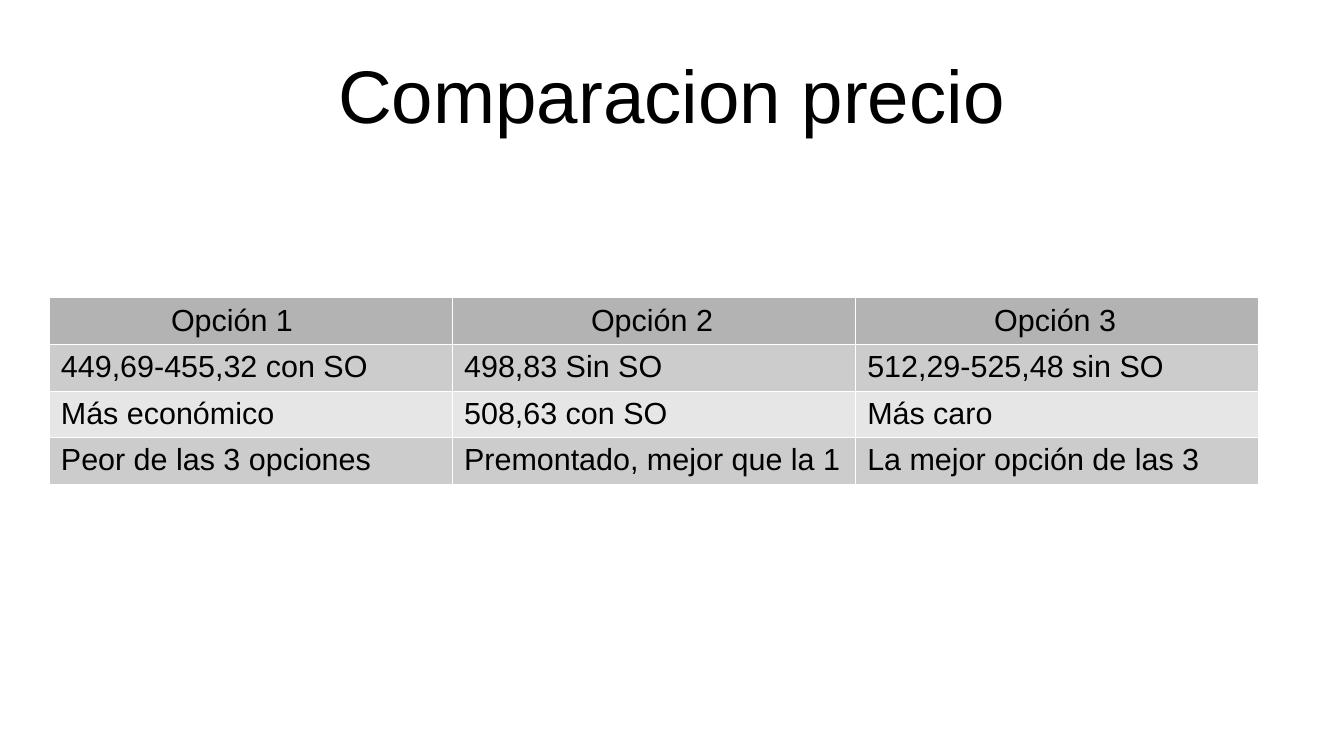
import pptx
import pptx.dml.color
import pptx.enum.text
import pptx.oxml
import pptx.oxml.ns
import pptx.util

Pt = pptx.util.Pt
RGBColor = pptx.dml.color.RGBColor

BLACK = RGBColor(0x00, 0x00, 0x00)
HEADER_GRAY = RGBColor(0xB3, 0xB3, 0xB3)
DARK_BAND = RGBColor(0xCC, 0xCC, 0xCC)
LIGHT_BAND = RGBColor(0xE6, 0xE6, 0xE6)
WHITE = RGBColor(0xFF, 0xFF, 0xFF)

FONT_NAME = "Arial"
COLUMN_WIDTH = Pt(238.1)
ROW_HEIGHT = Pt(27.5)
HEADER_INDENTS = [Pt(72.2), Pt(82.2), Pt(82.2)]
ROW_FILLS = [HEADER_GRAY, DARK_BAND, LIGHT_BAND, DARK_BAND]
PRICE_ROWS = [
    ["Opción 1", "Opción 2", "Opción 3"],
    ["449,69-455,32 con SO", "498,83 Sin SO", "512,29-525,48 sin SO"],
    ["Más económico", "508,63 con SO", "Más caro"],
    ["Peor de las 3 opciones", "Premontado, mejor que la 1", "La mejor opción de las 3"],
]


def format_text(paragraph, size):
    for run in paragraph.runs:
        run.font.name = FONT_NAME
        run.font.size = size
        run.font.color.rgb = BLACK


def add_cell_borders(cell):
    """Draw thin white lines; call before the fill is set, as borders precede it."""
    properties = cell._tc.get_or_add_tcPr()
    for side in ("lnL", "lnR", "lnT", "lnB"):
        properties.append(pptx.oxml.parse_xml(
            f'<a:{side} {pptx.oxml.ns.nsdecls("a")} w="{Pt(0.06)}">'
            f'<a:solidFill><a:srgbClr val="{WHITE}"/></a:solidFill></a:{side}>'
        ))


presentation = pptx.Presentation()
presentation.slide_width = Pt(793.7)
presentation.slide_height = Pt(446.4)
slide = presentation.slides.add_slide(presentation.slide_layouts[5])

title = slide.shapes.title
title.left, title.top, title.width, title.height = Pt(39.6), Pt(18), Pt(714.3), Pt(74.9)
title_frame = title.text_frame
title_frame.text = "Comparacion precio"
title_frame.margin_left = title_frame.margin_right = Pt(0)
title_frame.margin_top = title_frame.margin_bottom = Pt(0)
title_frame.vertical_anchor = pptx.enum.text.MSO_ANCHOR.MIDDLE
title_frame.paragraphs[0].alignment = pptx.enum.text.PP_ALIGN.CENTER
format_text(title_frame.paragraphs[0], Pt(44))

row_count, column_count = len(PRICE_ROWS), len(PRICE_ROWS[0])
price_table = slide.shapes.add_table(
    row_count, column_count, Pt(28.8), Pt(175.7),
    COLUMN_WIDTH * column_count, ROW_HEIGHT * row_count,
).table
for column in price_table.columns:
    column.width = COLUMN_WIDTH

for row_index, (texts, fill) in enumerate(zip(PRICE_ROWS, ROW_FILLS)):
    price_table.rows[row_index].height = ROW_HEIGHT
    for column_index, text in enumerate(texts):
        cell = price_table.cell(row_index, column_index)
        cell.text_frame.text = text
        cell.margin_left = HEADER_INDENTS[column_index] if row_index == 0 else Pt(7.2)
        cell.margin_right = Pt(7.2)
        cell.margin_top = cell.margin_bottom = Pt(3.6)
        add_cell_borders(cell)
        cell.fill.solid()
        cell.fill.fore_color.rgb = fill
        paragraph = cell.text_frame.paragraphs[0]
        format_text(paragraph, Pt(18))
        for run in paragraph.runs:
            run.font.bold = False

presentation.save("out.pptx")
